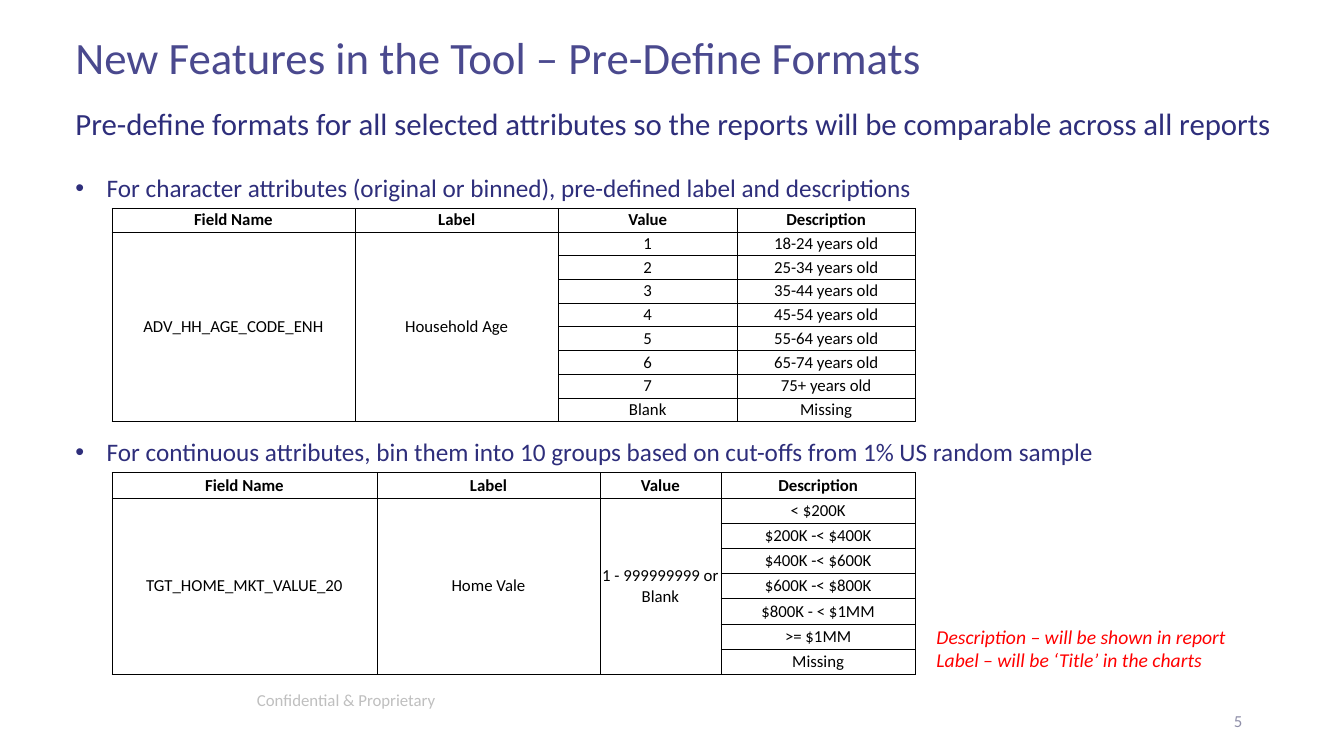
from dataclasses import dataclass

from lxml import etree
from pptx import Presentation
from pptx.dml.color import RGBColor
from pptx.enum.text import MSO_ANCHOR, PP_ALIGN
from pptx.oxml.ns import qn
from pptx.slide import Slide
from pptx.table import _Cell
from pptx.text.text import TextFrame, _Paragraph
from pptx.util import Inches, Pt

TOP, MIDDLE = MSO_ANCHOR.TOP, MSO_ANCHOR.MIDDLE
LEFT, CENTER, RIGHT = PP_ALIGN.LEFT, PP_ALIGN.CENTER, PP_ALIGN.RIGHT

BLACK = RGBColor(0x00, 0x00, 0x00)
RED = RGBColor(0xFF, 0x00, 0x00)
TITLE_BLUE = RGBColor(0x4A, 0x49, 0x8E)
BODY_BLUE = RGBColor(0x2E, 0x2E, 0x7B)
FOOTER_GRAY = RGBColor(0xBF, 0xBF, 0xBF)
NUMBER_GRAY = RGBColor(0x8F, 0x8F, 0xA9)

FONT = "Calibri"
GRID = Inches(0.1)  # one column or row of the layout grid
MARGIN = 6.5
BODY_WIDTH = 122.8
TABLE_LEFT = 11.1
BULLET_INDENT = 3.1


@dataclass(frozen=True)
class Area:
    """Position and size in grid columns and rows."""
    column: float
    row: float
    width: float
    height: float


@dataclass(frozen=True)
class FormatTable:
    """Columns holding a single value span all rows below the header."""
    area: Area
    widths: tuple[float, ...]
    columns: tuple[tuple[str, ...], ...]


HEADERS = ("Field Name", "Label", "Value", "Description")
AGE_RANGES = tuple(f"{low}-{low + (6 if low == 18 else 9)} years old"
                   for low in (18, *range(25, 75, 10)))
FORMAT_TABLES = (
    FormatTable(
        Area(TABLE_LEFT, 20.65, 79.7, 21.2),
        (24.1, 20.2, 17.7, 17.7),
        (("ADV_HH_AGE_CODE_ENH",),
         ("Household Age",),
         (*map(str, range(1, 8)), "Blank"),
         (*AGE_RANGES, "75+ years old", "Missing")),
    ),
    FormatTable(
        Area(TABLE_LEFT, 46.9, 79.7, 20),
        (26.3, 22.1, 12, 19.3),
        (("TGT_HOME_MKT_VALUE_20",),
         ("Home Vale",),
         ("1 - 999999999 or Blank",),
         ("< $200K", "$200K -< $400K", "$400K -< $600K", "$600K -< $800K",
          "$800K - < $1MM", ">= $1MM", "Missing")),
    ),
)


def cells(count: float) -> int:
    """Turn grid units into a length."""
    return round(count * GRID)


def add_bullet(paragraph: _Paragraph) -> None:
    properties = paragraph._p.get_or_add_pPr()
    properties.set("marL", str(cells(BULLET_INDENT)))
    properties.set("indent", str(-cells(BULLET_INDENT)))
    etree.SubElement(properties, qn("a:buFont"), typeface="Arial")
    etree.SubElement(properties, qn("a:buChar"), char="•")


def write(frame: TextFrame, text: str, *, size: float, color: RGBColor,
          bold: bool = False, italic: bool = False, bullet: bool = False,
          align: PP_ALIGN = LEFT, before: float = 0,
          line_spacing: float = 1.0) -> None:
    """Fill the first empty paragraph of the frame, or add one after the last."""
    paragraph = frame.paragraphs[-1]
    if paragraph.runs:
        paragraph = frame.add_paragraph()
    if bullet:
        add_bullet(paragraph)
    paragraph.alignment = align
    paragraph.line_spacing = line_spacing
    if before:
        paragraph.space_before = Pt(before)
    run = paragraph.add_run()
    run.text = text
    font = run.font
    font.name, font.size = FONT, Pt(size)
    font.bold, font.italic = bold, italic
    font.color.rgb = color


def add_text_area(slide: Slide, area: Area, anchor: MSO_ANCHOR = TOP) -> TextFrame:
    box = slide.shapes.add_textbox(cells(area.column), cells(area.row),
                                   cells(area.width), cells(area.height))
    frame = box.text_frame
    frame.word_wrap = True
    frame.vertical_anchor = anchor
    return frame


def add_borders(cell: _Cell) -> None:
    properties = cell._tc.get_or_add_tcPr()
    for position, side in enumerate(("lnL", "lnR", "lnT", "lnB")):
        line = etree.Element(qn(f"a:{side}"), w=str(Pt(0.5)))
        fill = etree.SubElement(line, qn("a:solidFill"))
        etree.SubElement(fill, qn("a:srgbClr"), val=str(BLACK))
        properties.insert(position, line)


def add_format_table(slide: Slide, content: FormatTable) -> None:
    area = content.area
    row_count = 1 + max(map(len, content.columns))
    table = slide.shapes.add_table(
        row_count, len(HEADERS), cells(area.column), cells(area.row),
        cells(area.width), cells(area.height)).table
    table.first_row = table.horz_banding = False
    for row in table.rows:
        row.height = cells(area.height / row_count)
    for cell in table.iter_cells():
        cell.margin_left = cell.margin_right = 0
        cell.margin_top = cell.margin_bottom = 0
        cell.vertical_anchor = MIDDLE
        cell.fill.background()
        add_borders(cell)
    for column, (header, values) in enumerate(zip(HEADERS, content.columns)):
        table.columns[column].width = cells(content.widths[column])
        for row, text in enumerate((header, *values)):
            write(table.cell(row, column).text_frame, text, size=12,
                  color=BLACK, bold=row == 0, align=CENTER)
        if len(values) == 1:
            table.cell(1, column).merge(table.cell(row_count - 1, column))


def main() -> None:
    presentation = Presentation()
    presentation.slide_width = Inches(13.33)
    presentation.slide_height = Inches(7.5)
    slide = presentation.slides.add_slide(presentation.slide_layouts[6])

    footer = add_text_area(slide, Area(24.5, 67.4, 45, 4), MIDDLE)
    write(footer, "Confidential & Proprietary", size=12, color=FOOTER_GRAY)
    page_number = add_text_area(slide, Area(94.2, 69.5, 30, 4), MIDDLE)
    write(page_number, "5", size=12, color=NUMBER_GRAY, align=RIGHT)

    title = add_text_area(slide, Area(MARGIN, 3.1, 120.7, 4.8))
    write(title, "New Features in the Tool – Pre-Define Formats",
          size=32, color=TITLE_BLUE, line_spacing=0.9)

    overview = add_text_area(slide, Area(MARGIN, 9.9, BODY_WIDTH, 10.8))
    write(overview, "Pre-define formats for all selected attributes so the "
          "reports will be comparable across all reports",
          size=22, color=BODY_BLUE)
    write(overview, "For character attributes (original or binned), "
          "pre-defined label and descriptions",
          size=18, color=BODY_BLUE, bullet=True, before=22)

    continuous = add_text_area(slide, Area(MARGIN, 42.8, BODY_WIDTH, 4))
    write(continuous, "For continuous attributes, bin them into 10 groups "
          "based on cut-offs from 1% US random sample",
          size=18, color=BODY_BLUE, bullet=True)

    for content in FORMAT_TABLES:
        add_format_table(slide, content)

    report_note = add_text_area(slide, Area(91.9, 61.5, 32.3, 5.7))
    for sentence in ("Description – will be shown in report",
                     "Label – will be ‘Title’ in the charts"):
        write(report_note, sentence, size=14, color=RED, italic=True)

    presentation.save("out.pptx")


if __name__ == "__main__":
    main()
